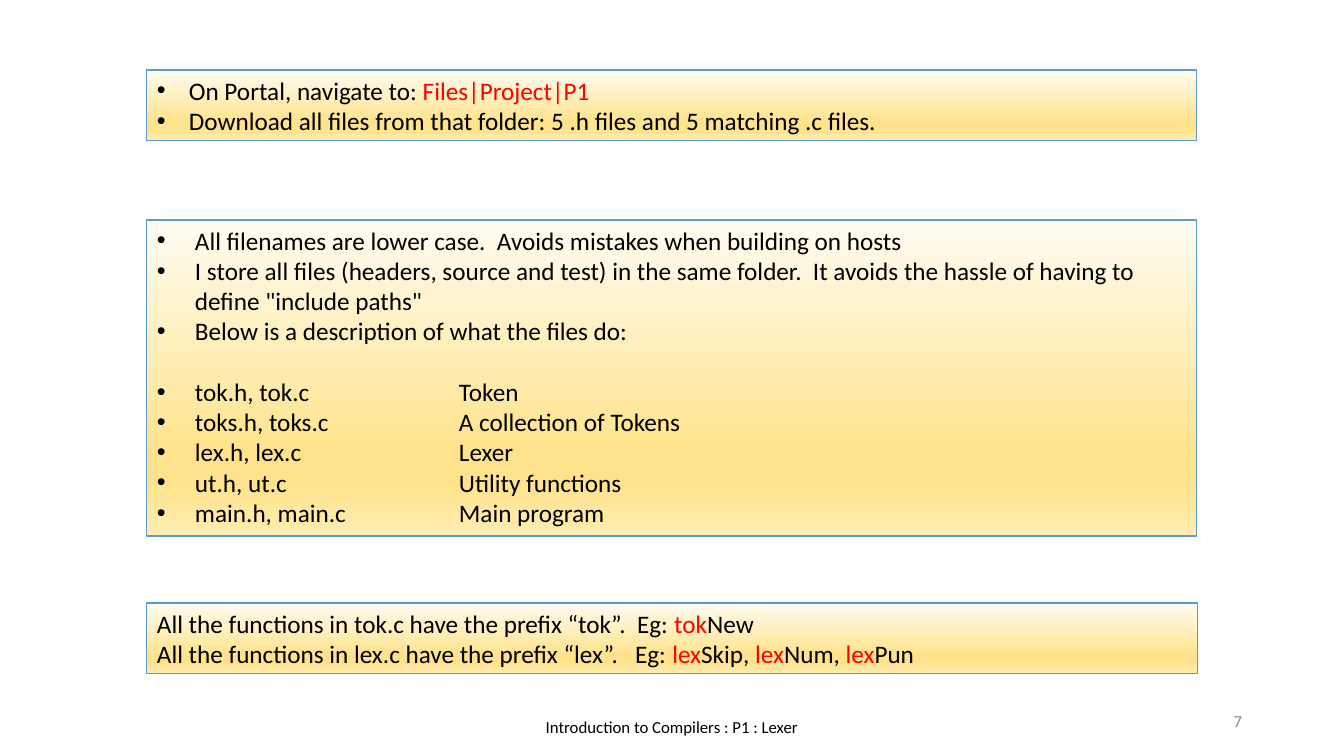
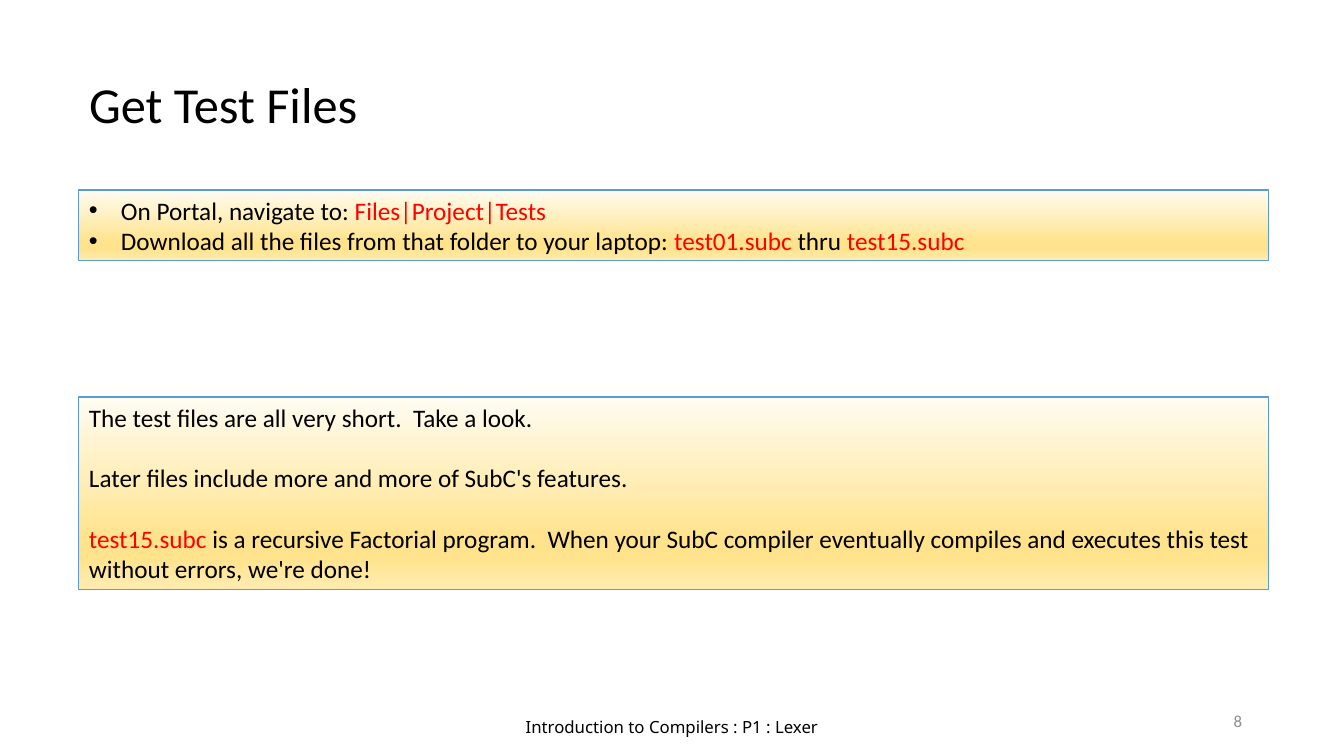
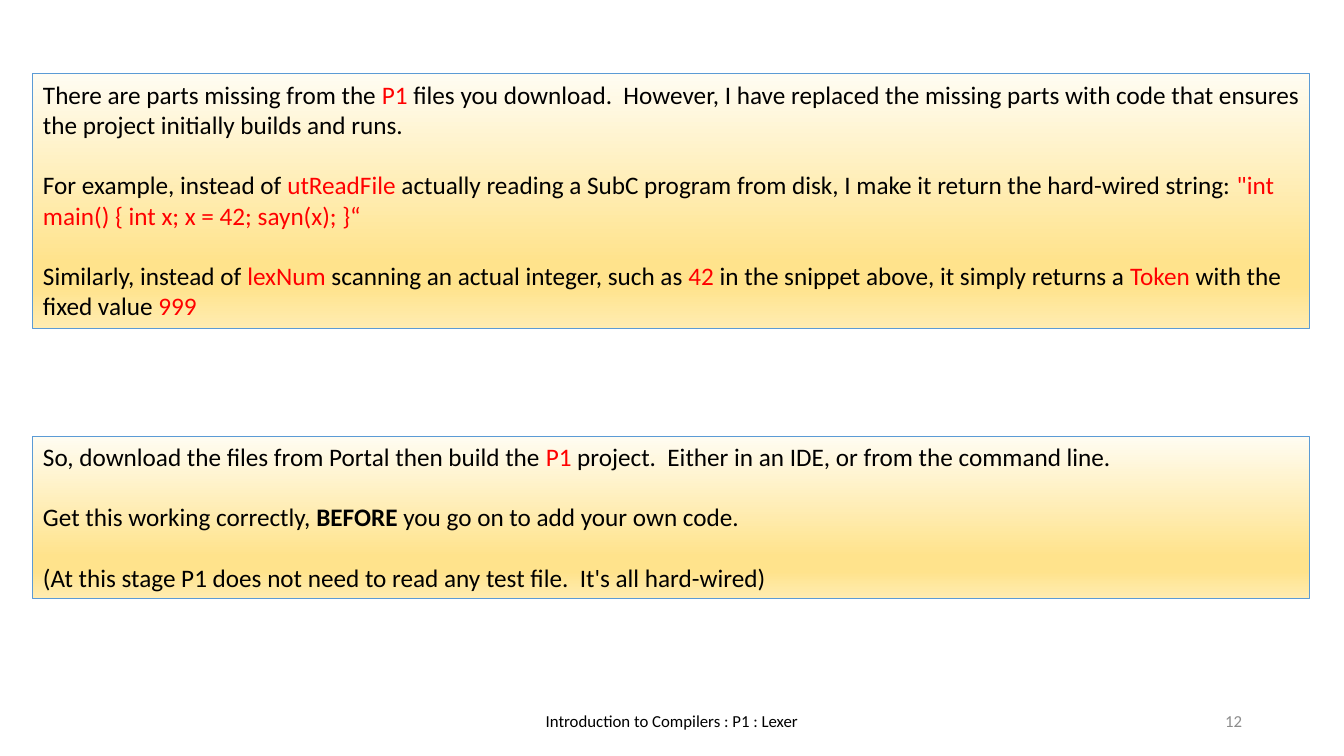
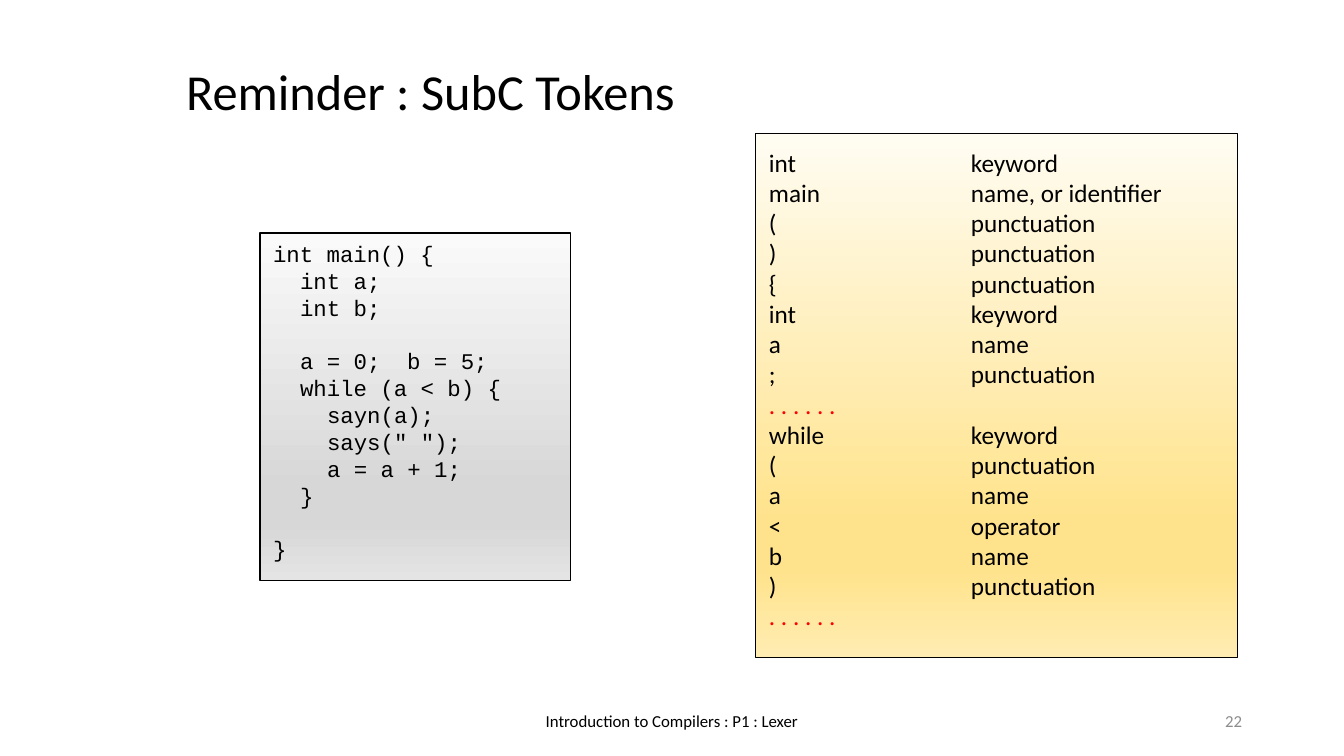
from copy import deepcopy
from dataclasses import dataclass

from lxml import etree
from pptx import Presentation, util as u
from pptx.dml.color import RGBColor
from pptx.enum import shapes, text
from pptx.oxml.ns import qn

# Shared style
EMU_PER_PIXEL = 914400 / 100.8
BLACK = RGBColor(0x00, 0x00, 0x00)
RED = RGBColor(0xFF, 0x00, 0x00)
GREY = RGBColor(0x8C, 0x8C, 0x8C)
BLUE = RGBColor(0x5B, 0x9B, 0xD5)
GRADIENT_POSITIONS = (0, 0.74, 0.83, 1)
YELLOWS = [RGBColor.from_string(c) for c in ("FFFCF2", "FFE38C", "FFE38C", "FFECB2")]
SILVERS = [RGBColor.from_string(c) for c in ("FAFAFA", "D7D7D7", "D7D7D7", "E4E4E4")]
BODY_FONT, CODE_FONT = "Calibri", "Courier New"
BODY_SIZE, CODE_SIZE, TITLE_SIZE, FOOTER_SIZE = 18, 16, 36, 12
LINE_HEIGHT = 1.2
CODE_STEP = 27
FOOTER = "Introduction to Compilers : P1 : Lexer"
TITLE_ONLY, BLANK = 5, 6


@dataclass
class Span:
    words: str
    color: RGBColor = BLACK
    bold: bool = False


@dataclass
class Line:
    spans: list
    gap: bool = False      # one empty line above
    indent: int = 0
    bullet: bool = False
    tab: int = 0


def red(words):
    return Span(words, RED)


def line(*pieces, **options):
    spans = [Span(p) if isinstance(p, str) else p for p in pieces]
    return Line(spans, **options)


def px(pixels):
    return u.Emu(round(pixels * EMU_PER_PIXEL))


def format_font(font, size, color, name=BODY_FONT, bold=False):
    font.size, font.name, font.bold = u.Pt(size), name, bold
    font.color.rgb = color


# Text
def add_bullet(props):
    props.set("indent", str(-int(props.get("marL"))))
    etree.SubElement(props, qn("a:buFont"), typeface="Arial")
    etree.SubElement(props, qn("a:buChar"), char="•")


def add_tab_stop(props, position):
    stops = etree.SubElement(props, qn("a:tabLst"))
    etree.SubElement(stops, qn("a:tab"), pos=str(px(position)), algn="l")


def write_lines(frame, lines, size, font):
    for index, item in enumerate(lines):
        para = frame.paragraphs[0] if index == 0 else frame.add_paragraph()
        para.alignment = text.PP_ALIGN.LEFT
        if item.gap:
            para.space_before = u.Pt(size * LINE_HEIGHT)
        props = para._p.get_or_add_pPr()
        if item.indent:
            props.set("marL", str(px(item.indent)))
        if item.bullet:
            add_bullet(props)
        if item.tab:
            add_tab_stop(props, item.tab)
        for piece in item.spans:
            span = para.add_run()
            span.text = piece.words
            format_font(span.font, size, piece.color, font, piece.bold)


# Boxes
def fill_gradient(box, colors):
    box.fill.gradient()
    box.fill.gradient_angle = 270
    stop_list = box._element.spPr.find(qn("a:gradFill")).find(qn("a:gsLst"))
    for _ in range(len(colors) - len(stop_list)):
        stop_list.append(deepcopy(stop_list[0]))
    for stop, position, color in zip(box.fill.gradient_stops, GRADIENT_POSITIONS, colors):
        stop.position = position
        stop.color.rgb = color


def add_panel(page, place, lines, colors=YELLOWS, outline=BLUE,
              size=BODY_SIZE, font=BODY_FONT, margins=(10, 5)):
    box = page.shapes.add_shape(shapes.MSO_SHAPE.RECTANGLE, *map(px, place))
    box.shadow.inherit = False
    fill_gradient(box, colors)
    box.line.color.rgb = outline
    box.line.width = u.Pt(0.75)
    frame = box.text_frame
    frame.word_wrap = True
    frame.vertical_anchor = text.MSO_ANCHOR.TOP
    frame.margin_left = frame.margin_right = px(margins[0])
    frame.margin_top = frame.margin_bottom = px(margins[1])
    write_lines(frame, lines, size, font)


def add_label(page, place, words, align, color, font=BODY_FONT):
    box = page.shapes.add_textbox(*map(px, place))
    frame = box.text_frame
    frame.word_wrap = True
    frame.vertical_anchor = text.MSO_ANCHOR.MIDDLE
    frame.text = words
    para = frame.paragraphs[0]
    para.alignment = align
    format_font(para.runs[0].font, FOOTER_SIZE, color, font)


# Pages
def add_page(deck, number, footer_top=701, footer_font=BODY_FONT, layout=BLANK):
    page = deck.slides.add_slide(deck.slide_layouts[layout])
    add_label(page, (445, footer_top, 454, 40), FOOTER,
              text.PP_ALIGN.CENTER, BLACK, footer_font)
    add_label(page, (950, 701, 302, 40), str(number), text.PP_ALIGN.RIGHT, GREY)
    return page


def set_title(page, place, words):
    title = page.shapes.title
    title.left, title.top, title.width, title.height = map(px, place)
    frame = title.text_frame
    frame.text = words
    frame.auto_size = text.MSO_AUTO_SIZE.NONE
    frame.vertical_anchor = text.MSO_ANCHOR.TOP
    para = frame.paragraphs[0]
    para.alignment = text.PP_ALIGN.LEFT
    format_font(para.runs[0].font, TITLE_SIZE, BLACK)


def build_project_files(deck):
    page = add_page(deck, 7, footer_top=707)
    short = dict(bullet=True, indent=32)
    add_panel(page, (147, 70, 1050, 71), [
        line("On Portal, navigate to: ", red("Files|Project|P1"), **short),
        line("Download all files from that folder: 5 .h files and 5 matching .c files.",
             **short),
    ])

    wide = dict(bullet=True, indent=38)
    files = [
        ("tok.h, tok.c", "Token"),
        ("toks.h, toks.c", "A collection of Tokens"),
        ("lex.h, lex.c", "Lexer"),
        ("ut.h, ut.c", "Utility functions"),
        ("main.h, main.c", "Main program"),
    ]
    add_panel(page, (147, 220, 1050, 316), [
        line("All filenames are lower case.  Avoids mistakes when building on hosts", **wide),
        line("I store all files (headers, source and test) in the same folder.  "
             "It avoids the hassle of having to define \"include paths\"", **wide),
        line("Below is a description of what the files do:", **wide),
        *[line(f"{names}\t{role}", gap=index == 0, tab=302, **wide)
          for index, (names, role) in enumerate(files)],
    ])

    add_panel(page, (147, 603, 1051, 71), [
        line("All the functions in tok.c have the prefix “tok”.  Eg: ", red("tok"), "New"),
        line("All the functions in lex.c have the prefix “lex”.   Eg: ",
             red("lex"), "Skip, ", red("lex"), "Num, ", red("lex"), "Pun"),
    ])


def build_test_files(deck):
    page = add_page(deck, 8, footer_top=707, footer_font="Noto Sans", layout=TITLE_ONLY)
    set_title(page, (79, 68, 464, 71), "Get Test Files")
    short = dict(bullet=True, indent=32)
    add_panel(page, (79, 190, 1190, 71), [
        line("On Portal, navigate to: ", red("Files|Project|Tests"), **short),
        line("Download all the files from that folder to your laptop: ",
             red("test01.subc"), " thru ", red("test15.subc"), **short),
    ])
    add_panel(page, (79, 397, 1190, 193), [
        line("The test files are all very short.  Take a look."),
        line("Later files include more and more of SubC's features.", gap=True),
        line(red("test15.subc"), " is a recursive Factorial program.  When your SubC compiler "
             "eventually compiles and executes this test without errors, we're done!", gap=True),
    ])


def build_missing_parts(deck):
    page = add_page(deck, 12)
    add_panel(page, (33, 74, 1277, 255), [
        line("There are parts missing from the ", red("P1"),
             " files you download.  However, I have replaced the missing parts with code "
             "that ensures the project initially builds and runs."),
        line("For example, instead of ", red("utReadFile"),
             " actually reading a SubC program from disk, I make it return the "
             "hard-wired string: ", red("\"int main() { int x; x = 42; sayn(x); }“"), gap=True),
        line("Similarly, instead of ", red("lexNum"),
             " scanning an actual integer, such as ", red("42"),
             " in the snippet above, it simply returns a ", red("Token"),
             " with the fixed value ", red("999"), gap=True),
    ])
    add_panel(page, (33, 436, 1277, 163), [
        line("So, download the files from Portal then build the ", red("P1"),
             " project.  Either in an IDE, or from the command line."),
        line("Get this working correctly, ", Span("BEFORE", bold=True),
             " you go on to add your own code.", gap=True),
        line("(At this stage P1 does not need to read any test file.  It's all hard-wired)",
             gap=True),
    ])


def build_tokens(deck):
    page = add_page(deck, 22, layout=TITLE_ONLY)
    set_title(page, (176, 55, 975, 71), "Reminder : SubC Tokens")

    dots = line(red(". . . . . ."))
    declaration = [
        ("int", "keyword"), ("main", "name, or identifier"), ("(", "punctuation"),
        (")", "punctuation"), ("{", "punctuation"), ("int", "keyword"),
        ("a", "name"), (";", "punctuation"),
    ]
    loop = [
        ("while", "keyword"), ("(", "punctuation"), ("a", "name"),
        ("<", "operator"), ("b", "name"), (")", "punctuation"),
    ]
    rows = []
    for tokens in (declaration, loop):
        rows += [line(f"{token}\t{kind}", tab=202) for token, kind in tokens] + [dots]
    add_panel(page, (756, 134, 482, 524), rows, outline=BLACK, margins=(13, 13))

    # Each code line: nesting depth, words, empty line above
    code = [
        (0, "int main() {", False),
        (1, "int a;", False),
        (1, "int b;", False),
        (1, "a = 0;  b = 5;", True),
        (1, "while (a < b) {", False),
        (2, "sayn(a);", False),
        (2, "says(\" \");", False),
        (2, "a = a + 1;", False),
        (1, "}", False),
        (0, "}", True),
    ]
    add_panel(page, (260, 233, 311, 348),
              [line(words, indent=depth * CODE_STEP, gap=gap) for depth, words, gap in code],
              SILVERS, BLACK, CODE_SIZE, CODE_FONT, (13, 7))


def main():
    deck = Presentation()
    deck.slide_width, deck.slide_height = px(1344), px(756)
    build_project_files(deck)
    build_test_files(deck)
    build_missing_parts(deck)
    build_tokens(deck)
    deck.save("out.pptx")


main()
